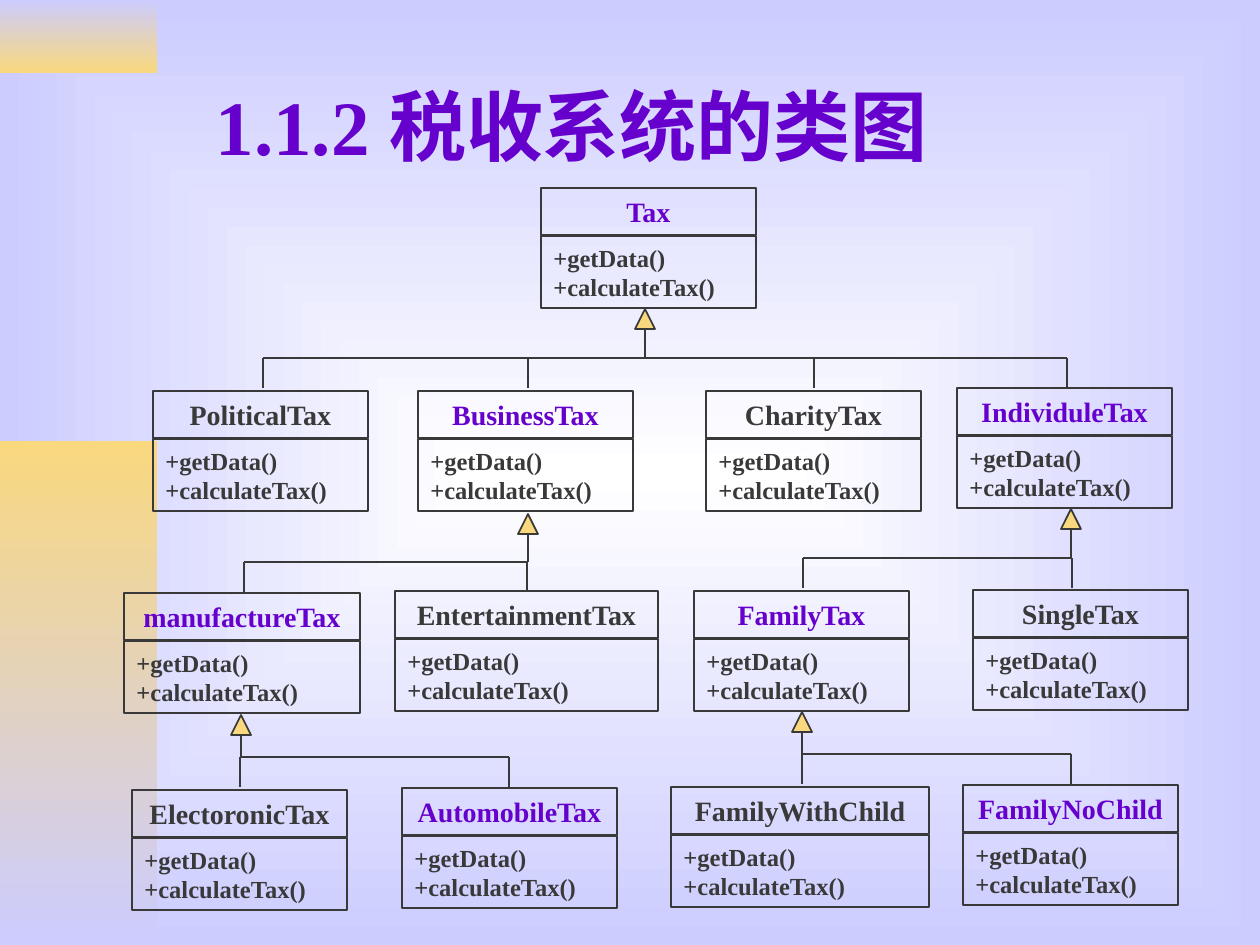
from lxml import etree
from pptx import Presentation
from pptx.dml.color import RGBColor
from pptx.enum.shapes import MSO_CONNECTOR, MSO_SHAPE
from pptx.enum.text import MSO_ANCHOR, PP_ALIGN
from pptx.oxml.ns import qn
from pptx.util import Emu, Pt

LEFT, CENTER = PP_ALIGN.LEFT, PP_ALIGN.CENTER
TOP, MIDDLE = MSO_ANCHOR.TOP, MSO_ANCHOR.MIDDLE
RECTANGLE, TRIANGLE = MSO_SHAPE.RECTANGLE, MSO_SHAPE.ISOSCELES_TRIANGLE
STRAIGHT = MSO_CONNECTOR.STRAIGHT

PURPLE = RGBColor(0x66, 0x00, 0xCC)
INK = RGBColor(0x39, 0x39, 0x39)
GOLD = RGBColor(0xF9, 0xD8, 0x7E)
LAVENDER = RGBColor(0xCC, 0xCC, 0xFF)
WHITE = RGBColor(0xFF, 0xFF, 0xFF)

EMU_PER_PX = 914400 / 126
FONT = "Times New Roman"
METHODS = "+getData()\v+calculateTax()"
HEADER_HEIGHT, BODY_OFFSET, BODY_HEIGHT = 47, 48, 72
ARROW_SIZE, DROP_LENGTH = 20, 30

# name, left, top, width, name colour
CLASSES = [
    ("Tax", 541, 188, 215, PURPLE),
    ("PoliticalTax", 153, 391, 215, INK),
    ("BusinessTax", 418, 391, 215, PURPLE),
    ("CharityTax", 706, 391, 215, INK),
    ("IndividuleTax", 957, 388, 215, PURPLE),
    ("manufactureTax", 124, 593, 236, PURPLE),
    ("EntertainmentTax", 395, 591, 263, INK),
    ("FamilyTax", 694, 591, 215, PURPLE),
    ("SingleTax", 973, 590, 215, INK),
    ("ElectoronicTax", 132, 790, 215, INK),
    ("AutomobileTax", 402, 788, 215, PURPLE),
    ("FamilyWithChild", 671, 787, 258, INK),
    ("FamilyNoChild", 963, 785, 215, PURPLE),
]

# arrow tip x and y, bar y, child drops x
BRANCHES = [
    (645, 309, 358, (263, 528, 814, 1067)),
    (528, 514, 562, (244, 527)),
    (1071, 509, 558, (803, 1072)),
    (241, 715, 757, (240, 509)),
    (802, 712, 754, (802, 1071)),
]


def px(length):
    """Turn pixels into EMU."""
    return Emu(round(length * EMU_PER_PX))


def write(shape, text, size=14, color=INK, align=LEFT, anchor=TOP, spacing=None):
    """Put one formatted paragraph into a shape."""
    frame = shape.text_frame
    frame.word_wrap = True
    frame.vertical_anchor = anchor
    frame.text = text
    para = frame.paragraphs[0]
    para.alignment = align
    para.line_spacing = spacing
    for span in para.runs:
        span.font.name = FONT
        span.font.size = Pt(size)
        span.font.bold = True
        span.font.color.rgb = color


def blend(fill, first, last):
    """Give a fill two gradient stops, running downwards."""
    fill.gradient()
    fill.gradient_angle = 270
    for stop, color in zip(fill.gradient_stops, (first, last)):
        stop.color.rgb = color


class ClassDiagram:
    """Holds the style and the current slide."""

    def __init__(self, page):
        """Start drawing on a page."""
        self.page = page

    def background(self):
        """Spread light from the middle of the page."""
        blend(self.page.background.fill, WHITE, LAVENDER)
        gradient = next(self.page.element.iter(qn("a:gradFill")))
        gradient.remove(gradient.find(qn("a:lin")))
        spread = etree.SubElement(gradient, qn("a:path"), path="rect")
        etree.SubElement(spread, qn("a:fillToRect"), {side: "50000" for side in "ltrb"})

    def title(self, text, left, top, width, height):
        """Move and format the title placeholder."""
        title = self.page.shapes.title
        title.left, title.top = px(left), px(top)
        title.width, title.height = px(width), px(height)
        write(title, text, size=44, color=PURPLE, anchor=MIDDLE)

    def shape(self, kind, left, top, width, height):
        """Add an outlined shape without fill."""
        shape = self.page.shapes.add_shape(kind, px(left), px(top), px(width), px(height))
        shape.shadow.inherit = False
        shape.fill.background()
        shape.line.color.rgb = INK
        shape.line.width = Pt(1)
        return shape

    def panel(self, top, height, first, last):
        """Add a gradient panel at the left edge."""
        panel = self.shape(RECTANGLE, 0, top, 157, height)
        panel.line.fill.background()
        blend(panel.fill, first, last)

    def class_box(self, name, left, top, width, color):
        """Add a class with its name and its methods."""
        body = self.shape(RECTANGLE, left, top + BODY_OFFSET, width, BODY_HEIGHT)
        write(body, METHODS, spacing=Pt(17))
        header = self.shape(RECTANGLE, left, top, width, HEADER_HEIGHT)
        write(header, name, size=16, color=color, align=CENTER)

    def line(self, x1, y1, x2, y2):
        """Add a thin straight line."""
        line = self.page.shapes.add_connector(STRAIGHT, px(x1), px(y1), px(x2), px(y2))
        line.line.color.rgb = INK
        line.line.width = Pt(1)
        etree.SubElement(line.element.spPr, qn("a:effectLst"))

    def branch(self, tip_x, tip_y, bar_y, drops):
        """Join child classes to the parent above with an inheritance arrow."""
        arrow = self.shape(TRIANGLE, tip_x - ARROW_SIZE // 2, tip_y, ARROW_SIZE, ARROW_SIZE)
        arrow.fill.solid()
        arrow.fill.fore_color.rgb = GOLD
        self.line(tip_x, tip_y + ARROW_SIZE, tip_x, bar_y)
        self.line(drops[0], bar_y, drops[-1], bar_y)
        for x in drops:
            self.line(x, bar_y, x, bar_y + DROP_LENGTH)


def main():
    """Build the tax class diagram."""
    deck = Presentation()
    deck.slide_width, deck.slide_height = px(1260), px(945)
    diagram = ClassDiagram(deck.slides.add_slide(deck.slide_layouts[5]))
    diagram.background()
    diagram.panel(0, 73, LAVENDER, GOLD)
    diagram.panel(441, 504, GOLD, LAVENDER)
    diagram.title("1.1.2 税收系统的类图", 203, 42, 1036, 166)
    for entry in CLASSES:
        diagram.class_box(*entry)
    for entry in BRANCHES:
        diagram.branch(*entry)
    deck.save("out.pptx")


if __name__ == "__main__":
    main()
